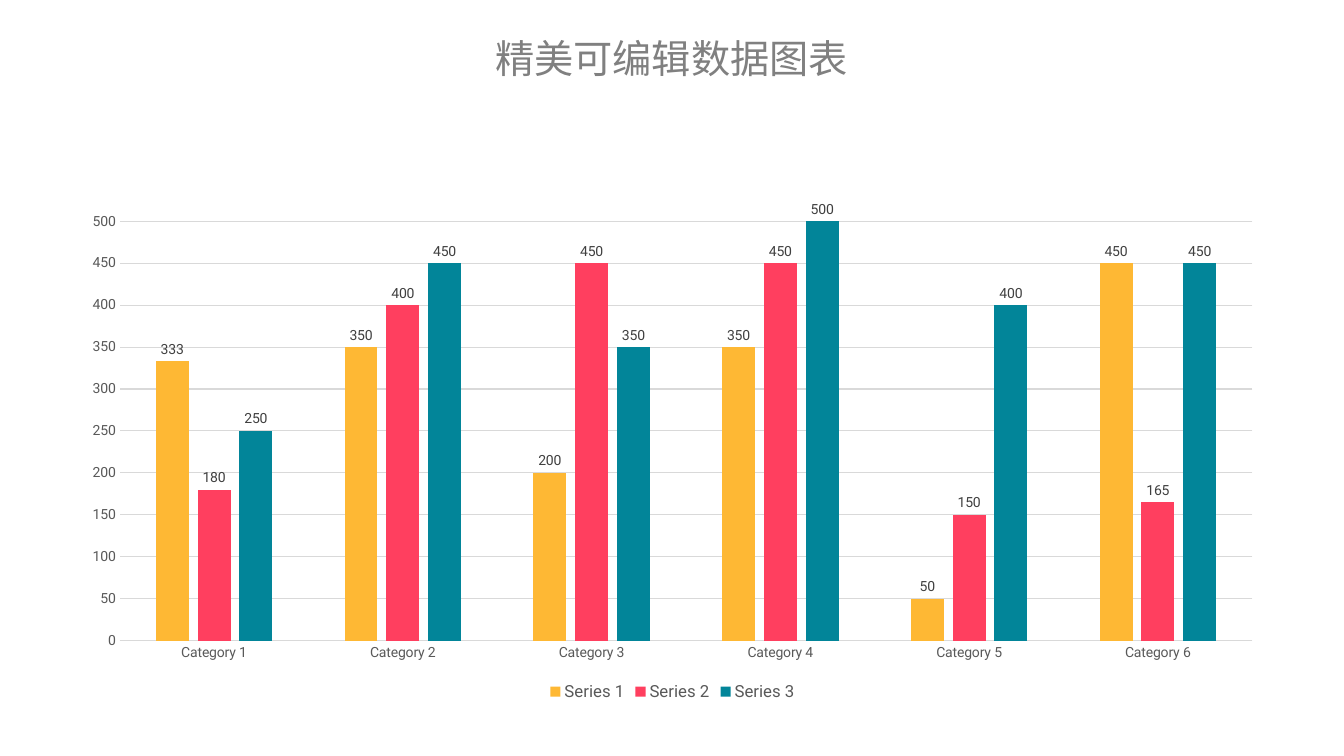
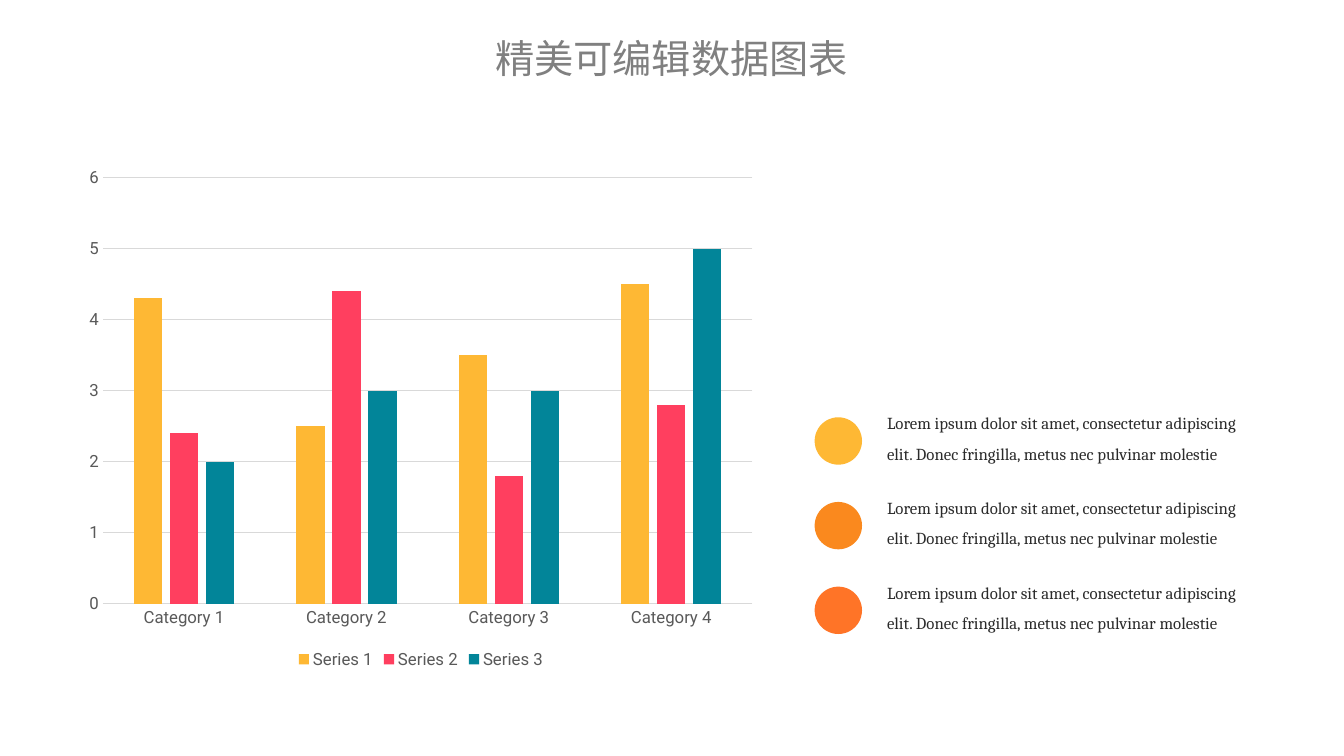
from dataclasses import dataclass

from lxml import etree
from pptx import Presentation
from pptx.chart.data import CategoryChartData
from pptx.dml.color import RGBColor
from pptx.enum.chart import XL_CHART_TYPE, XL_LABEL_POSITION, XL_LEGEND_POSITION, XL_TICK_MARK
from pptx.enum.shapes import MSO_SHAPE
from pptx.enum.text import MSO_ANCHOR, PP_ALIGN
from pptx.oxml.ns import qn
from pptx.util import Inches, Pt

COLUMNS = XL_CHART_TYPE.COLUMN_CLUSTERED
OUTSIDE_END = XL_LABEL_POSITION.OUTSIDE_END
LEGEND_BOTTOM = XL_LEGEND_POSITION.BOTTOM
NO_TICK = XL_TICK_MARK.NONE
ELLIPSE = MSO_SHAPE.OVAL
MIDDLE = MSO_ANCHOR.MIDDLE
CENTER = PP_ALIGN.CENTER
BLANK_LAYOUT = 6

TITLE = "精美可编辑数据图表"
NOTE = ("Lorem ipsum dolor sit amet, consectetur adipiscing elit. "
        "Donec fringilla, metus nec pulvinar molestie")


@dataclass(frozen=True)
class Theme:
    title_font: str = "Noto Sans CJK SC"
    body_font: str = "Cambria"
    chart_font: str = "Roboto"
    title_size: int = 28
    body_size: int = 12
    legend_size: int = 12
    label_size: int = 10
    title_color: str = "808080"
    body_color: str = "2B2B2B"
    axis_color: str = "595959"
    label_color: str = "404040"
    grid_color: str = "D9D9D9"
    grid_width: float = 0.75
    series_colors: tuple = ("FEB834", "FF3F5F", "028599")
    marker_colors: tuple = ("FEB834", "FA891E", "FF7427")


def set_font(font, name, size, color):
    font.name = name
    font.size = Pt(size)
    font.color.rgb = RGBColor.from_string(color)


class DeckBuilder:
    def __init__(self, theme):
        self.theme = theme
        self.deck = Presentation()
        self.deck.slide_width = Inches(13.33)
        self.deck.slide_height = Inches(7.5)
        self.page = None

    def new_page(self, title):
        theme = self.theme
        self.page = self.deck.slides.add_slide(self.deck.slide_layouts[BLANK_LAYOUT])
        frame = self.text(0.56, 0.32, 12.2, 0.5, title,
                          theme.title_font, theme.title_size, theme.title_color)
        frame.margin_left = frame.margin_right = frame.margin_top = frame.margin_bottom = 0
        frame.vertical_anchor = MIDDLE
        frame.paragraphs[0].alignment = CENTER

    def text(self, left, top, width, height, words, font, size, color):
        box = self.page.shapes.add_textbox(
            Inches(left), Inches(top), Inches(width), Inches(height))
        frame = box.text_frame
        frame.word_wrap = True
        span = frame.paragraphs[0].add_run()
        span.text = words
        set_font(span.font, font, size, color)
        # Chinese characters take their typeface from the East Asian font slot.
        east_asian = etree.SubElement(span.font._element, qn("a:ea"))
        east_asian.set("typeface", font)
        return frame

    def note(self, left, top, words):
        theme = self.theme
        frame = self.text(left, top, 3.86, 0.71, words,
                          theme.body_font, theme.body_size, theme.body_color)
        frame.paragraphs[0].line_spacing = 1.5

    def marker(self, left, top, color):
        dot = self.page.shapes.add_shape(
            ELLIPSE, Inches(left), Inches(top), Inches(0.47), Inches(0.47))
        dot.shadow.inherit = False
        dot.fill.solid()
        dot.fill.fore_color.rgb = RGBColor.from_string(color)
        dot.line.fill.background()

    def column_chart(self, left, top, width, height, rows, axis_size):
        """Draw one series for each row, with numbered categories and series."""
        theme = self.theme
        data = CategoryChartData()
        data.categories = [f"Category {number + 1}" for number in range(len(rows[0]))]
        for number, values in enumerate(rows, 1):
            data.add_series(f"Series {number}", values)
        chart = self.page.shapes.add_chart(
            COLUMNS, Inches(left), Inches(top), Inches(width), Inches(height), data).chart
        chart.has_title = False
        set_font(chart.font, theme.chart_font, theme.label_size, theme.axis_color)

        chart.has_legend = True
        chart.legend.position = LEGEND_BOTTOM
        chart.legend.include_in_layout = False
        set_font(chart.legend.font, theme.chart_font, theme.legend_size, theme.axis_color)

        plot = chart.plots[0]
        plot.gap_width = 219
        plot.overlap = -27
        plot.vary_by_categories = False
        for series, color in zip(plot.series, theme.series_colors):
            series.format.fill.solid()
            series.format.fill.fore_color.rgb = RGBColor.from_string(color)

        for axis in (chart.category_axis, chart.value_axis):
            axis.major_tick_mark = axis.minor_tick_mark = NO_TICK
            set_font(axis.tick_labels.font, theme.chart_font, axis_size, theme.axis_color)
        chart.value_axis.format.line.fill.background()
        chart.value_axis.has_major_gridlines = True
        for line in (chart.category_axis.format.line,
                     chart.value_axis.major_gridlines.format.line):
            line.color.rgb = RGBColor.from_string(theme.grid_color)
            line.width = Pt(theme.grid_width)
        return chart

    def value_labels(self, chart):
        theme = self.theme
        for series in chart.plots[0].series:
            labels = series.data_labels
            labels.show_value = True
            labels.position = OUTSIDE_END
            set_font(labels.font, theme.chart_font, theme.label_size, theme.label_color)


def build_wide_chart(builder):
    builder.new_page(TITLE)
    rows = [(333, 350, 200, 350, 50, 450),
            (180, 400, 450, 450, 150, 165),
            (250, 450, 350, 500, 400, 450)]
    chart = builder.column_chart(0.68, 2, 11.98, 5, rows, axis_size=10)
    builder.value_labels(chart)
    axis = chart.value_axis
    axis.minimum_scale, axis.maximum_scale, axis.major_unit = 0, 500, 50


def build_chart_with_notes(builder):
    builder.new_page(TITLE)
    rows = [(4.3, 2.5, 3.5, 4.5),
            (2.4, 4.4, 1.8, 2.8),
            (2, 3, 3, 5)]
    builder.column_chart(0.75, 1.56, 6.85, 5.12, rows, axis_size=12)
    for index, color in enumerate(builder.theme.marker_colors):
        top = 3.95 + 0.84 * index
        builder.note(8.7, top, NOTE)
        builder.marker(8.08, top + 0.19, color)


def main():
    builder = DeckBuilder(Theme())
    build_wide_chart(builder)
    build_chart_with_notes(builder)
    builder.deck.save("out.pptx")


if __name__ == "__main__":
    main()
